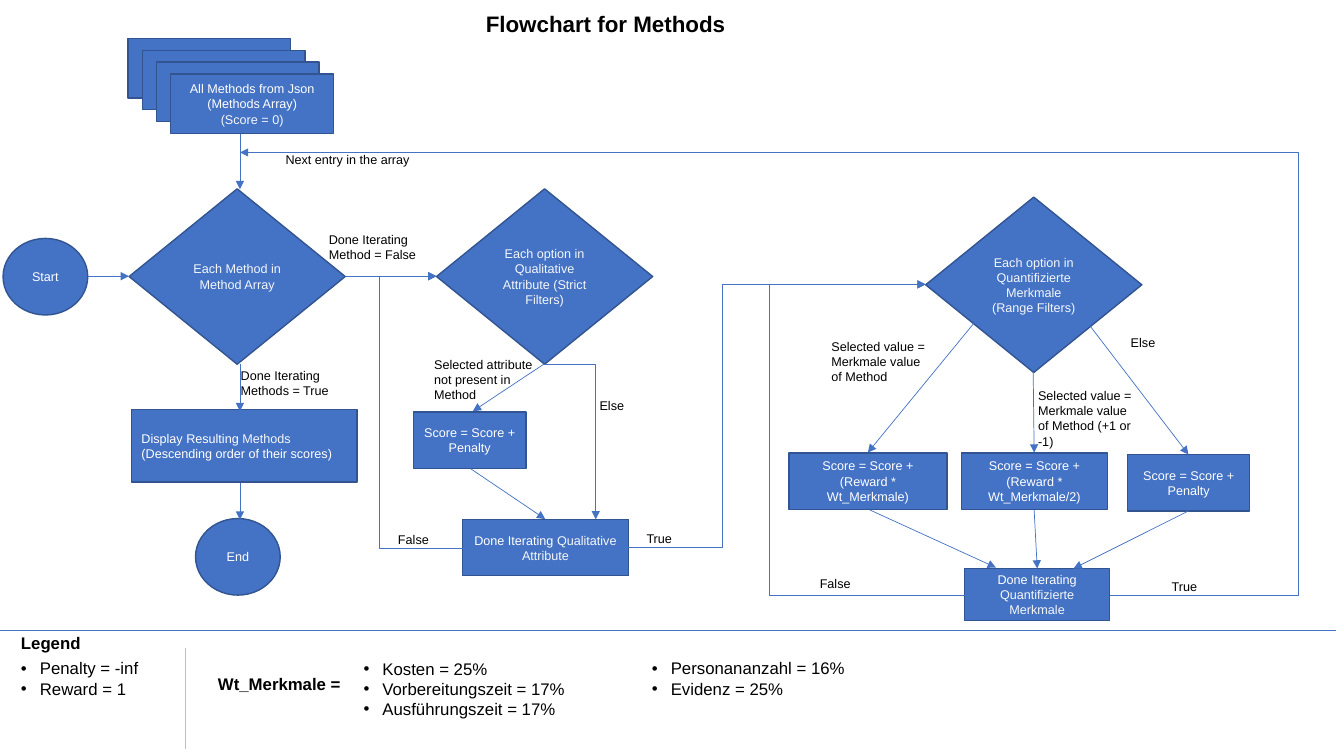
from lxml.etree import SubElement
from pptx import Presentation
from pptx.dml.color import RGBColor
from pptx.enum.shapes import MSO_CONNECTOR, MSO_SHAPE
from pptx.enum.text import MSO_ANCHOR, PP_ALIGN
from pptx.oxml.ns import qn
from pptx.util import Pt

COLORS = {"blue": "4472C4", "edge": "325491", "white": "FFFFFF",
          "pale": "F4F7FA", "black": "000000", "gray": "BFBFBF"}
FONT = "Arial"
TITLE = ("Flowchart for Methods", (339.8, 3.6, 247, 26.6))

# Each paragraph is a list of (text, color) runs.
STACK_TEXT = [[("All Methods from Json", "white")], [("(Methods Array)", "white")],
              [("(Score = 0)", "pale")]]
STACK_ORIGIN, STACK_STEP, STACK_SIZE, STACK_COUNT = (91.4, 27.4), (10.2, 8.5), (116.2, 42.5), 4

DIAMOND_SIZE = (154.4, 125.3)
DIAMONDS = [
    ("Each Method in Method Array", (92.2, 134.9)),
    ("Each option in Qualitative Attribute (Strict Filters)", (311.8, 134.9)),
    ("Each option in Quantifizierte Merkmale (Range Filters)", (661.2, 140.8)),
]
CIRCLE_SIZE = (60.5, 54.7)
CIRCLES = [("Start", (2.2, 170.3)), ("End", (139.7, 370.4))]
BOXES = [
    ([("Score = Score + Penalty", "white")], (295.2, 294.2, 80.6, 40.6)),
    ([("Done Iterating ", "white"), ("Qualitative Attribute", "pale")],
     (330.2, 371, 118.8, 40.3)),
    ([("Score = Score + (Reward * Wt_Merkmale)", "white")], (563.5, 323.5, 113, 40.3)),
    ([("Score = Score + (Reward * Wt_Merkmale/2)", "white")], (686.9, 323.5, 104, 40.3)),
    ([("Score = Score + Penalty", "white")], (805.5, 324.7, 87.1, 40.3)),
    ([("Done Iterating ", "white"), ("Quantifizierte Merkmale", "pale")],
     (689, 406.2, 103.7, 37.2)),
]
RESULT_BOX = ([("Display Resulting ", "white"), ("Methods", "pale"),
               (" (Descending order of their scores)", "white")], (94, 292.4, 161, 52))

STRAIGHT_ARROWS = [
    ((62.8, 197.3), (92.2, 197.3)), ((246.2, 197.3), (311.8, 197.3)),
    ((171.4, 95.8), (171.4, 135.2)), ((171.4, 259.9), (171.4, 293.8)),
    ((171.4, 344.9), (171.4, 371.2)), ((388.8, 259.9), (337.7, 293.8)),
    ((336.2, 334.8), (389.5, 370.8)), ((695.5, 231.1), (619.9, 323.3)),
    ((738, 265.7), (738.7, 323.3)), ((779, 233.3), (848.9, 324.7)),
    ((621.4, 364.3), (711.4, 405.4)), ((738.7, 364.3), (740.9, 406.1)),
    ((848.9, 365), (766.8, 406.1)),
]
# Start, end and the x of the vertical segment.
BENT_ARROWS = [
    ((330.5, 391.5), (311.8, 197.3), 270.8),
    ((448.8, 391.3), (661.2, 203.2), 516.2),
    ((689, 425), (661.2, 203.2), 549.5),
    ((792.7, 425), (171.4, 108.9), 927.5),
    ((388.8, 260.3), (425.5, 371), 425.5),
]
DIVIDERS = [((954, 450.1), (0, 450.1), "blue", 0.5),
            ((132.6, 463), (132.6, 535), "gray", 1.25)]

LABELS = [
    ("Done Iterating Methods = True", (164.9, 259.2, 86.4, 28.8)),
    ("Done Iterating Method = False", (227.8, 162, 89.3, 28.8)),
    ("True", (454.7, 375.8, 73.4, 18)),
    ("False", (277.2, 376.6, 73.4, 18)),
    ("False", (578.5, 407.5, 73.4, 18)),
    ("True", (829.8, 409.7, 73.4, 18)),
    ("Next entry in the array", (196.9, 105.1, 112.3, 18)),
    ("Else", (421.2, 280.8, 73.4, 18)),
    ("Else", (800.6, 235.4, 73.4, 18)),
    ("Selected attribute not present in Method", (303.1, 251.3, 89.3, 40.3)),
    ("Selected value = Merkmale value of Method", (586.8, 238.3, 83.5, 40.3)),
    ("Selected value = Merkmale value of Method (+1 or -1)", (734.4, 273.6, 87.1, 51.1)),
]
HEADINGS = [("Legend", (7.9, 448.6, 86.4, 21.6)),
            ("Wt_Merkmale =", (148.6, 477.4, 121, 21.6))]
BULLET_LISTS = [
    (["Penalty = -inf", "Reward = 1"], (7.9, 466.6, 140.4, 36)),
    (["Kosten = 25%", "Vorbereitungszeit = 17%", "Ausführungszeit = 17%"],
     (252.6, 466.6, 208, 51.1)),
    (["Personananzahl = 16%", "Evidenz = 25%"], (458.6, 466.6, 218.9, 36)),
]


def rgb(name):
    return RGBColor.from_string(COLORS[name])


def style(font, size, color, bold=False):
    font.name, font.size, font.bold = FONT, Pt(size), bold
    font.color.rgb = rgb(color)


def points(values):
    return [Pt(value) for value in values]


def add_node(shapes, kind, box, paragraphs=(), alignment=PP_ALIGN.CENTER):
    shape = shapes.add_shape(kind, *points(box))
    shape.shadow.inherit = False
    shape.fill.solid()
    shape.fill.fore_color.rgb = rgb("blue")
    shape.line.color.rgb = rgb("edge")
    shape.line.width = Pt(1)
    frame = shape.text_frame
    frame.word_wrap = True
    frame.vertical_anchor = MSO_ANCHOR.MIDDLE
    for index, runs in enumerate(paragraphs):
        paragraph = frame.add_paragraph() if index else frame.paragraphs[0]
        paragraph.alignment = alignment
        for text, color in runs:
            run = paragraph.add_run()
            run.text = text
            style(run.font, 9, color)


def add_line(shapes, start, end, color="blue", width=0.5, arrow=True, turn=None):
    """Draw a line; turn is the x of the vertical segment of a bent one."""
    kind = MSO_CONNECTOR.STRAIGHT if turn is None else MSO_CONNECTOR.ELBOW
    connector = shapes.add_connector(kind, *points(start + end))
    connector.line.color.rgb = rgb(color)
    connector.line.width = Pt(width)
    properties = connector.element.spPr
    if arrow:
        SubElement(connector.line._get_or_add_ln(), qn("a:tailEnd"), type="triangle")
    SubElement(properties, qn("a:effectLst"))
    if turn is not None:
        geometry = properties.find(qn("a:prstGeom"))
        if turn == end[0]:
            geometry.set("prst", "bentConnector2")
        else:
            ratio = round((turn - start[0]) / (end[0] - start[0]) * 100000)
            guides = geometry.find(qn("a:avLst"))
            SubElement(guides, qn("a:gd"), name="adj1", fmla=f"val {ratio}")


def add_text(shapes, lines, box, size, bold=False, bullets=False):
    frame = shapes.add_textbox(*points(box)).text_frame
    frame.word_wrap = True
    frame.text = "\n".join(lines)
    for paragraph in frame.paragraphs:
        if bullets:
            properties = paragraph._p.get_or_add_pPr()
            properties.set("marL", str(Pt(13.5)))
            properties.set("indent", str(-Pt(13.5)))
            SubElement(properties, qn("a:buFont"), typeface=FONT)
            SubElement(properties, qn("a:buChar"), char="•")
        style(paragraph.runs[0].font, size, "black", bold)


def add_title(slide):
    text, box = TITLE
    title = slide.shapes.title
    title.left, title.top, title.width, title.height = points(box)
    frame = title.text_frame
    frame.text = text
    frame.vertical_anchor = MSO_ANCHOR.TOP
    frame.paragraphs[0].alignment = PP_ALIGN.LEFT
    style(frame.paragraphs[0].runs[0].font, 16, "black", True)


def main():
    presentation = Presentation()
    presentation.slide_width, presentation.slide_height = Pt(960), Pt(540)
    slide = presentation.slides.add_slide(presentation.slide_layouts[5])
    shapes = slide.shapes
    add_title(slide)

    stack = shapes.add_group_shape().shapes
    for index in range(STACK_COUNT):
        corner = tuple(origin + index * step for origin, step in zip(STACK_ORIGIN, STACK_STEP))
        text = STACK_TEXT if index == STACK_COUNT - 1 else ()
        add_node(stack, MSO_SHAPE.RECTANGLE, corner + STACK_SIZE, text)
    for kind, size, nodes in ((MSO_SHAPE.DIAMOND, DIAMOND_SIZE, DIAMONDS),
                              (MSO_SHAPE.OVAL, CIRCLE_SIZE, CIRCLES)):
        color = "pale" if kind == MSO_SHAPE.DIAMOND else "white"
        for text, corner in nodes:
            add_node(shapes, kind, corner + size, [[(text, color)]])
    for runs, box in BOXES:
        add_node(shapes, MSO_SHAPE.RECTANGLE, box, [runs])
    runs, box = RESULT_BOX
    add_node(shapes, MSO_SHAPE.RECTANGLE, box, [runs], PP_ALIGN.LEFT)

    for start, end in STRAIGHT_ARROWS:
        add_line(shapes, start, end)
    for start, end, turn in BENT_ARROWS:
        add_line(shapes, start, end, turn=turn)
    for start, end, color, width in DIVIDERS:
        add_line(shapes, start, end, color, width, arrow=False)

    for text, box in LABELS:
        add_text(shapes, [text], box, 9)
    for text, box in HEADINGS:
        add_text(shapes, [text], box, 12, bold=True)
    for lines, box in BULLET_LISTS:
        add_text(shapes, lines, box, 12, bullets=True)
    presentation.save("out.pptx")


if __name__ == "__main__":
    main()
